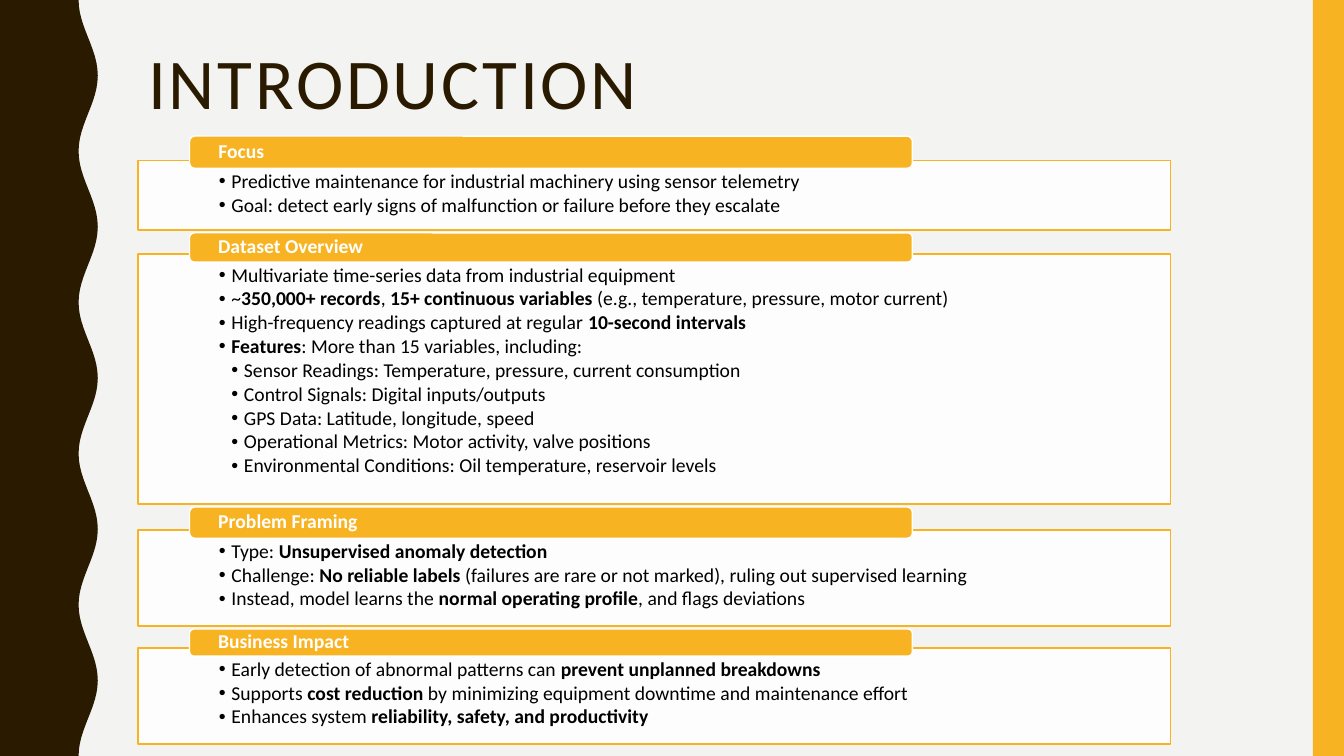
import math

from lxml import etree
from pptx import Presentation
from pptx.dml import color as dml
from pptx.enum import shapes, text
from pptx.oxml import ns
from pptx.util import Inches, Pt

COLORS = {
    "background": "F3F3F2",
    "brown": "2A1A00",
    "gold": "F8B323",
    "white": "FFFFFF",
    "black": "000000",
}

SECTIONS = [
    ("Focus", 1.35, 0.32, 1.59, 0.69, [
        (0, "Predictive maintenance for industrial machinery using sensor telemetry"),
        (0, "Goal: detect early signs of malfunction or failure before they escalate"),
    ]),
    ("Dataset Overview", 2.31, 0.29, 2.52, 2.48, [
        (0, "Multivariate time-series data from industrial equipment"),
        (0, "~**350,000+ records**, **15+ continuous variables** (e.g., temperature, pressure, motor current)"),
        (0, "High-frequency readings captured at regular **10-second intervals**"),
        (0, "**Features**: More than 15 variables, including:"),
        (1, "Sensor Readings: Temperature, pressure, current consumption"),
        (1, "Control Signals: Digital inputs/outputs"),
        (1, "GPS Data: Latitude, longitude, speed"),
        (1, "Operational Metrics: Motor activity, valve positions"),
        (1, "Environmental Conditions: Oil temperature, reservoir levels"),
    ]),
    ("Problem Framing", 5.03, 0.31, 5.26, 0.95, [
        (0, "Type: **Unsupervised anomaly detection**"),
        (0, "Challenge: **No reliable labels** (failures are rare or not marked), ruling out supervised learning"),
        (0, "Instead, model learns the **normal operating profile**, and flags deviations"),
    ]),
    ("Business Impact", 6.24, 0.27, 6.43, 0.95, [
        (0, "Early detection of abnormal patterns can **prevent unplanned breakdowns**"),
        (0, "Supports **cost reduction** by minimizing equipment downtime and maintenance effort"),
        (0, "Enhances system **reliability, safety, and productivity**"),
    ]),
]


def write(paragraph, content, size=14, color="black", bold=False, bullet_level=None, after=0):
    paragraph.alignment = text.PP_ALIGN.LEFT
    paragraph.line_spacing = 0.9
    paragraph.space_before = Pt(0)
    paragraph.space_after = Pt(after)
    for index, part in enumerate(content.split("**")):
        if part:
            run = paragraph.add_run()
            run.text = part
            run.font.name = "Calibri"
            run.font.size = Pt(size)
            run.font.bold = bold or index % 2 == 1
            run.font.color.rgb = dml.RGBColor.from_string(COLORS[color])
    if bullet_level is not None:
        properties = paragraph._p.get_or_add_pPr()
        properties.set("marL", str(Inches(0.125 * (bullet_level + 1))))
        properties.set("indent", str(-Inches(0.125)))
        etree.SubElement(properties, ns.qn("a:buFont")).set("typeface", "Arial")
        etree.SubElement(properties, ns.qn("a:buChar")).set("char", "•")


def style(shape, fill, line=None, margins=(0, 0), anchor=text.MSO_ANCHOR.TOP):
    shape.shadow.inherit = False
    shape.fill.solid()
    shape.fill.fore_color.rgb = dml.RGBColor.from_string(COLORS[fill])
    if line:
        shape.line.color.rgb = dml.RGBColor.from_string(COLORS[line])
        shape.line.width = Pt(1)
    else:
        shape.line.fill.background()
    frame = shape.text_frame
    frame.word_wrap = True
    frame.vertical_anchor = anchor
    frame.margin_left = frame.margin_right = Inches(margins[0])
    frame.margin_top = frame.margin_bottom = Inches(margins[1])


presentation = Presentation()
presentation.slide_width = Inches(13.33)
presentation.slide_height = Inches(7.5)
slide = presentation.slides.add_slide(presentation.slide_layouts[5])
slide.background.fill.solid()
slide.background.fill.fore_color.rgb = dml.RGBColor.from_string(COLORS["background"])

wave_points = []
for step in range(121):
    y = 7.5 * step / 120
    x = 0.875 - 0.095 * math.cos(2 * math.pi * y / 1.5)
    wave_points.append((Inches(x), Inches(y)))
builder = slide.shapes.build_freeform(0, 0)
builder.add_line_segments(wave_points + [(0, Inches(7.5))], close=True)
wave = builder.convert_to_shape()
style(wave, "brown")

right_band = slide.shapes.add_shape(
    shapes.MSO_SHAPE.RECTANGLE, Inches(13.02), 0, Inches(0.31), Inches(7.5))
style(right_band, "gold")

title = slide.shapes.title
title.left, title.top = Inches(1.37), Inches(0.42)
title.width, title.height = Inches(11.13), Inches(1.63)
title.text_frame.auto_size = text.MSO_AUTO_SIZE.NONE
title.text_frame.vertical_anchor = text.MSO_ANCHOR.TOP
write(title.text_frame.paragraphs[0], "INTRODUCTION", size=51, color="brown")
title.text_frame.paragraphs[0].runs[0].font._element.set("spc", "200")

for heading, tab_top, tab_height, box_top, box_height, items in SECTIONS:
    box = slide.shapes.add_shape(
        shapes.MSO_SHAPE.RECTANGLE,
        Inches(1.37), Inches(box_top), Inches(10.24), Inches(box_height))
    style(box, "white", "gold", margins=(0.8, 0.11))
    fill_color = box.fill._xPr.find(ns.qn("a:solidFill"))[0]
    etree.SubElement(fill_color, ns.qn("a:alpha")).set("val", "90000")
    for index, (level, content) in enumerate(items):
        frame = box.text_frame
        paragraph = frame.add_paragraph() if index else frame.paragraphs[0]
        write(paragraph, content, bullet_level=level, after=1.9)

    tab = slide.shapes.add_shape(
        shapes.MSO_SHAPE.ROUNDED_RECTANGLE,
        Inches(1.88), Inches(tab_top), Inches(7.17), Inches(tab_height))
    style(tab, "gold", "white", margins=(0.27, 0), anchor=text.MSO_ANCHOR.MIDDLE)
    write(tab.text_frame.paragraphs[0], heading, color="white", bold=True)

presentation.save("out.pptx")
